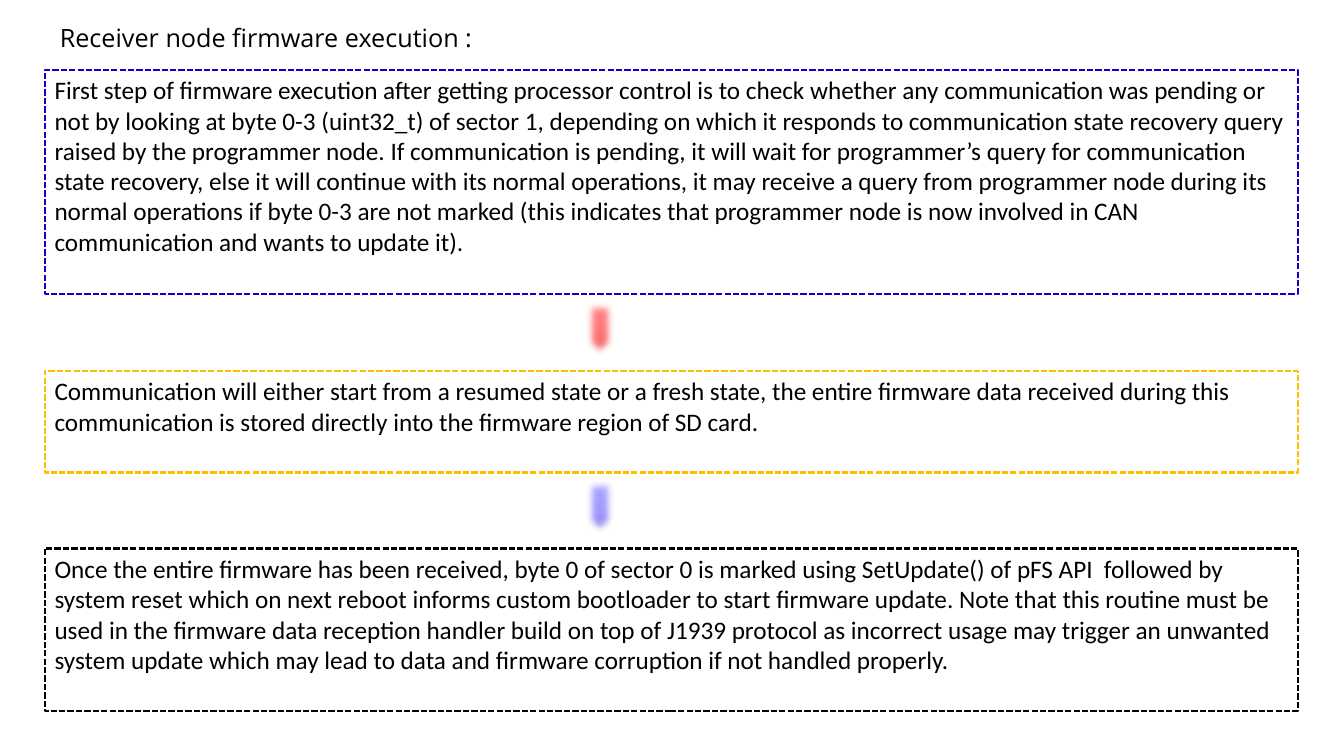
from dataclasses import dataclass

import pptx
import pptx.dml.color
import pptx.enum.dml
import pptx.enum.shapes
import pptx.enum.text
import pptx.oxml
import pptx.oxml.ns
import pptx.util
from pptx.util import Pt

RGBColor = pptx.dml.color.RGBColor
BLACK = RGBColor(0x00, 0x00, 0x00)
BLUE = RGBColor(0x10, 0x02, 0xCA)
AMBER = RGBColor(0xFF, 0xC0, 0x00)
RED_LIGHT = RGBColor(0xFF, 0x8A, 0x89)
RED = RGBColor(0xFF, 0x76, 0x75)
RED_DARK = RGBColor(0xE5, 0x67, 0x66)
VIOLET_LIGHT = RGBColor(0xB0, 0xAA, 0xFF)
VIOLET = RGBColor(0xA1, 0x9A, 0xFF)
VIOLET_DARK = RGBColor(0x8D, 0x87, 0xE5)
VIOLET_LINE = RGBColor(0xA2, 0x9B, 0xFE)

STEP_LEFT, STEP_WIDTH = 31.9, 895
ARROW_LEFT, ARROW_WIDTH, ARROW_HEIGHT = 407.5, 41.8, 43.9
SOFT_EDGE = Pt(5)


@dataclass
class Step:
    top: float
    height: float
    color: RGBColor
    text: str


@dataclass
class Arrow:
    top: float
    shades: tuple[RGBColor, RGBColor, RGBColor]
    line: RGBColor


STEPS = [
    Step(49.9, 160, BLUE,
         "First step of firmware execution after getting processor control is to check "
         "whether any communication was pending or not by looking at byte 0-3 (uint32_t) "
         "of sector 1, depending on which it responds to communication state recovery "
         "query raised by the programmer node. If communication is pending, it will wait "
         "for programmer’s query for communication state recovery, else it will continue "
         "with its normal operations, it may receive a query from programmer node during "
         "its normal operations if byte 0-3 are not marked (this indicates that "
         "programmer node is now involved in CAN communication and wants to update it)."),
    Step(264.8, 72.7, AMBER,
         "Communication will either start from a resumed state or a fresh state, the "
         "entire firmware data received during this communication is stored directly "
         "into the firmware region of SD card."),
    Step(391.8, 116.4, BLACK,
         "Once the entire firmware has been received, byte 0 of sector 0 is marked using "
         "SetUpdate() of pFS API  followed by system reset which on next reboot informs "
         "custom bootloader to start firmware update. Note that this routine must be "
         "used in the firmware data reception handler build on top of J1939 protocol as "
         "incorrect usage may trigger an unwanted system update which may lead to data "
         "and firmware corruption if not handled properly."),
]
ARROWS = [
    Arrow(215.3, (RED_LIGHT, RED, RED_DARK), RED),
    Arrow(342.9, (VIOLET_LIGHT, VIOLET, VIOLET_DARK), VIOLET_LINE),
]


def write_text(shape, text: str, font_name: str) -> None:
    frame = shape.text_frame
    frame.text = text
    frame.word_wrap = True
    frame.auto_size = pptx.enum.text.MSO_AUTO_SIZE.NONE
    frame.vertical_anchor = pptx.enum.text.MSO_ANCHOR.TOP
    para = frame.paragraphs[0]
    para.alignment = pptx.enum.text.PP_ALIGN.LEFT
    font = para.runs[0].font
    font.name = font_name
    font.size = Pt(18)
    font.color.rgb = BLACK


def draw_step(page, step: Step) -> None:
    box = page.shapes.add_shape(
        pptx.enum.shapes.MSO_SHAPE.RECTANGLE,
        Pt(STEP_LEFT), Pt(step.top), Pt(STEP_WIDTH), Pt(step.height))
    box.shadow.inherit = False
    box.fill.background()
    box.line.color.rgb = step.color
    box.line.width = Pt(1.5)
    box.line.dash_style = pptx.enum.dml.MSO_LINE.SQUARE_DOT
    write_text(box, step.text, "Calibri")


def draw_arrow(page, arrow: Arrow) -> None:
    shape = page.shapes.add_shape(
        pptx.enum.shapes.MSO_SHAPE.DOWN_ARROW,
        Pt(ARROW_LEFT), Pt(arrow.top), Pt(ARROW_WIDTH), Pt(ARROW_HEIGHT))
    shape.shadow.inherit = False
    shape.line.color.rgb = arrow.line
    shape.line.width = Pt(0.5)

    # Three-stop gradient from top to bottom
    shape.fill.gradient()
    shape.fill.gradient_angle = 270
    namespace = pptx.oxml.ns.nsdecls("a")
    properties = shape.element.spPr
    stops = properties.find(".//" + pptx.oxml.ns.qn("a:gsLst"))
    for stop in list(stops):
        stops.remove(stop)
    for position, shade in zip((0, 50000, 100000), arrow.shades):
        stops.append(pptx.oxml.parse_xml(
            f'<a:gs {namespace} pos="{position}"><a:srgbClr val="{shade}"/></a:gs>'))

    # Soft edge
    effects = properties.find(pptx.oxml.ns.qn("a:effectLst"))
    effects.append(pptx.oxml.parse_xml(f'<a:softEdge {namespace} rad="{SOFT_EDGE}"/>'))


def main() -> None:
    deck = pptx.Presentation()
    deck.slide_width, deck.slide_height = Pt(960), Pt(540)
    page = deck.slides.add_slide(deck.slide_layouts[5])

    # Title
    title = page.shapes.title
    title.left, title.top, title.width, title.height = Pt(35.5), Pt(12.2), Pt(451), Pt(29)
    write_text(title, "Receiver node firmware execution :", "Open Sans")

    # Steps and the arrows between them
    for step in STEPS:
        draw_step(page, step)
    for arrow in ARROWS:
        draw_arrow(page, arrow)

    deck.save("out.pptx")


if __name__ == "__main__":
    main()
